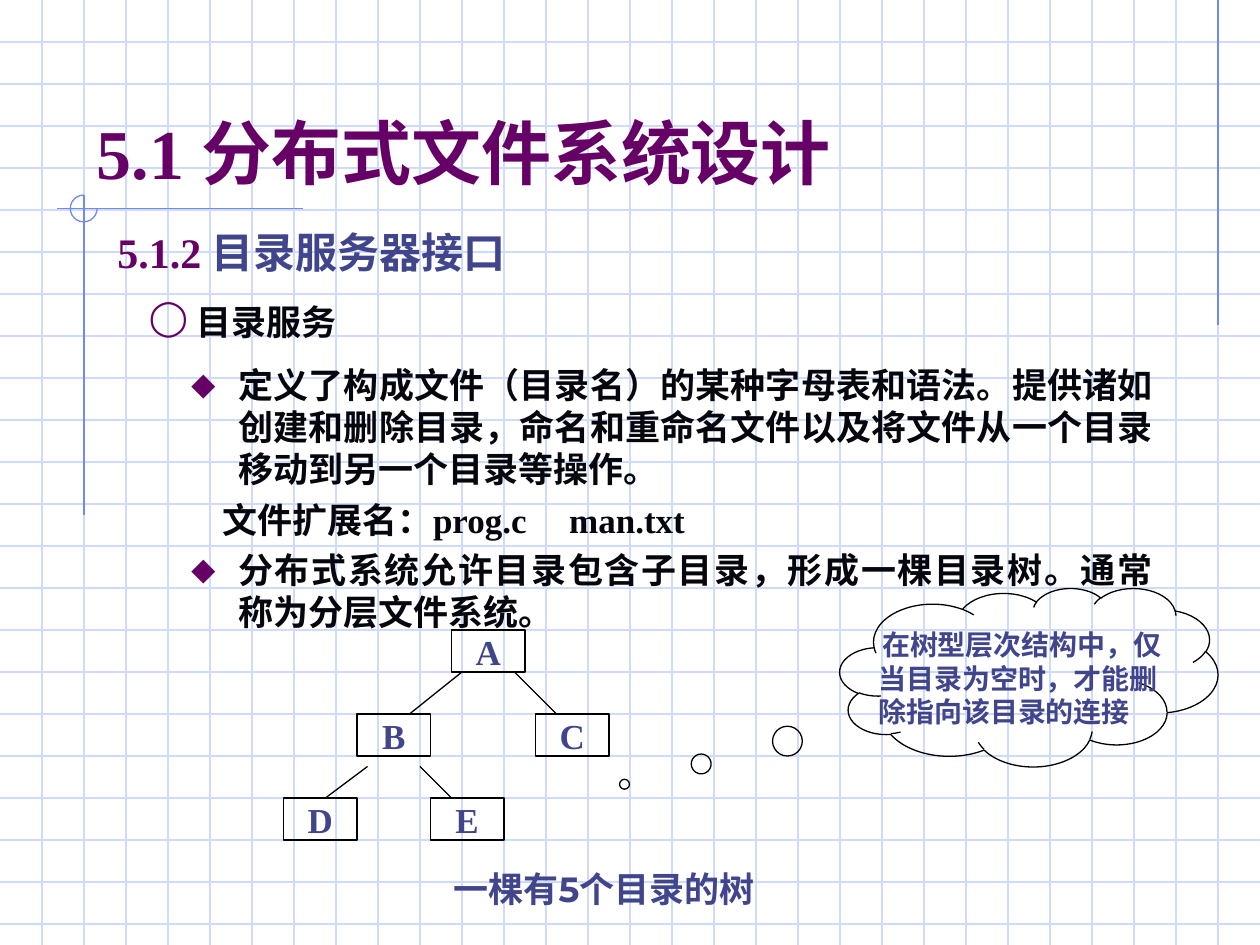
from lxml.etree import SubElement
from pptx import Presentation
from pptx.dml.color import RGBColor
from pptx.enum.shapes import MSO_CONNECTOR, MSO_SHAPE
from pptx.enum.text import MSO_ANCHOR, MSO_AUTO_SIZE, PP_ALIGN
from pptx.oxml.ns import qn
from pptx.util import Pt

COLORS = {
    "grid": "CFDBFD",
    "accent": "6F89F7",
    "purple": "660066",
    "indigo": "40458C",
    "ink": "06070E",
    "black": "000000",
}
SERIF, SANS, CJK = "Times New Roman", "Montserrat", "Noto Sans CJK SC"
WIDTH, HEIGHT, GRID_STEP = 720, 540, 24
NODE_WIDTH, NODE_HEIGHT = 42, 24
NODES = {"A": (258, 360), "B": (204, 408), "C": (306, 408), "D": (162, 456), "E": (246, 456)}
BRANCHES = [
    (264, 384, 234, 408),
    (294, 384, 318, 408),
    (210, 438, 186, 456),
    (240, 438, 258, 456),
]


def color(name):
    return RGBColor.from_string(COLORS[name])


def add_line(slide, x1, y1, x2, y2, line_color):
    connector = slide.shapes.add_connector(
        MSO_CONNECTOR.STRAIGHT, Pt(x1), Pt(y1), Pt(x2), Pt(y2))
    connector.line.color.rgb = color(line_color)
    connector.line.width = Pt(0.75)
    SubElement(connector.element.spPr, qn("a:effectLst"))


def add_outline(slide, preset, x, y, width, height, line_color):
    outline = slide.shapes.add_shape(preset, Pt(x), Pt(y), Pt(width), Pt(height))
    outline.shadow.inherit = False
    outline.fill.background()
    outline.line.color.rgb = color(line_color)
    outline.line.width = Pt(0.75)
    return outline


def add_run(paragraph, text, size, font, font_color):
    run = paragraph.add_run()
    run.text = text
    run.font.size = Pt(size)
    run.font.bold = True
    run.font.name = font
    run.font.color.rgb = color(font_color)
    SubElement(run.font._element, qn("a:ea"), typeface=font)


def format_paragraph(paragraph, before=0, align=PP_ALIGN.LEFT, margin=0, indent=0,
                     bullet=None, tab=None):
    paragraph.alignment = align
    paragraph.space_before = Pt(before)
    properties = paragraph._p.get_or_add_pPr()
    properties.set("marL", str(Pt(margin)))
    properties.set("indent", str(Pt(indent)))
    if bullet:
        bullet_color = SubElement(properties, qn("a:buClr"))
        SubElement(bullet_color, qn("a:srgbClr"), val=COLORS["purple"])
        SubElement(properties, qn("a:buChar"), char=bullet)
    else:
        SubElement(properties, qn("a:buNone"))
    if tab:
        stops = SubElement(properties, qn("a:tabLst"))
        SubElement(stops, qn("a:tab"), pos=str(Pt(tab)), algn="l")


def add_text_box(slide, x, y, width, height):
    box = slide.shapes.add_textbox(Pt(x), Pt(y), Pt(width), Pt(height))
    box.text_frame.word_wrap = True
    return box.text_frame.paragraphs[0]


def place_placeholder(placeholder, x, y, width, height, anchor):
    placeholder.left, placeholder.top = Pt(x), Pt(y)
    placeholder.width, placeholder.height = Pt(width), Pt(height)
    placeholder.text_frame.auto_size = MSO_AUTO_SIZE.NONE
    placeholder.text_frame.vertical_anchor = anchor
    tree = placeholder.element.getparent()
    tree.append(placeholder.element)
    return placeholder.text_frame


def add_background(slide):
    for y in range(GRID_STEP, HEIGHT, GRID_STEP):
        add_line(slide, 0, y, WIDTH, y, "grid")
    for x in range(GRID_STEP, WIDTH, GRID_STEP):
        add_line(slide, x, 0, x, HEIGHT, "grid")
    add_line(slide, 696, 0, 696, 186, "accent")
    add_line(slide, 173, 119.2, 32.5, 119.2, "accent")
    add_line(slide, 48, 111.5, 48, 294.5, "accent")
    ring = add_outline(slide, MSO_SHAPE.ARC, 40.2, 111.5, 15.3, 15.3, "accent")
    ring.adjustments[0] = 0
    ring.adjustments[1] = 162


def add_title(slide):
    title = place_placeholder(
        slide.shapes.title, 48, 24, 612, 90, MSO_ANCHOR.BOTTOM).paragraphs[0]
    format_paragraph(title)
    add_run(title, "5.1 ", 40, SERIF, "purple")
    add_run(title, "分布式文件系统设计", 40, CJK, "purple")


def add_headings(slide):
    section = add_text_box(slide, 60, 126, 630, 40)
    format_paragraph(section, 6, PP_ALIGN.JUSTIFY)
    add_run(section, "5.1.2 ", 24, SERIF, "purple")
    add_run(section, "目录服务器接口", 24, CJK, "indigo")
    topic = add_text_box(slide, 78, 168, 594, 31.5)
    format_paragraph(topic, 5, PP_ALIGN.JUSTIFY, 27, -27, "◯")
    add_run(topic, "目录服务", 20, SANS, "ink")


def add_body(slide):
    body = place_placeholder(
        slide.placeholders[1], 102, 204, 564, 190, MSO_ANCHOR.TOP)
    definition = body.paragraphs[0]
    extensions, hierarchy = body.add_paragraph(), body.add_paragraph()
    for paragraph, text in (
        (definition, "定义了构成文件（目录名）的某种字母表和语法。提供诸如创建和删除目录，"
                     "命名和重命名文件以及将文件从一个目录移动到另一个目录等操作。"),
        (hierarchy, "分布式系统允许目录包含子目录，形成一棵目录树。通常 称为分层文件系统。"),
    ):
        format_paragraph(paragraph, 5, PP_ALIGN.JUSTIFY, 27, -27, "⬥")
        add_run(paragraph, text, 20, SANS, "ink")
    format_paragraph(extensions, 5, indent=18, tab=231.7)
    add_run(extensions, "文件扩展名：", 20, SANS, "ink")
    add_run(extensions, "prog.c\tman.txt", 20, SERIF, "ink")


def add_tree(slide):
    for name, (x, y) in NODES.items():
        node = add_outline(
            slide, MSO_SHAPE.RECTANGLE, x, y, NODE_WIDTH, NODE_HEIGHT, "black")
        node.text_frame.word_wrap = False
        node.text_frame.vertical_anchor = MSO_ANCHOR.MIDDLE
        label = node.text_frame.paragraphs[0]
        format_paragraph(label, 5, PP_ALIGN.CENTER)
        add_run(label, name, 20, SERIF, "indigo")
    for branch in BRANCHES:
        add_line(slide, *branch, "black")
    caption = add_text_box(slide, 252, 492, 258, 31.5)
    format_paragraph(caption, 12.5)
    add_run(caption, "一棵有5个目录的树", 20, SANS, "indigo")


def add_remark(slide):
    cloud = add_outline(slide, MSO_SHAPE.CLOUD_CALLOUT, 480, 336, 216, 102, "black")
    cloud.adjustments[0] = -1.07
    cloud.adjustments[1] = 0.6
    remark = add_text_box(slide, 468, 355, 216, 65)
    format_paragraph(remark, 10, margin=27, indent=2)
    add_run(remark, "在树型层次结构中，仅当目录为空时，才能删除指向该目录的连接",
            16, SANS, "indigo")


def main():
    presentation = Presentation()
    presentation.slide_width, presentation.slide_height = Pt(WIDTH), Pt(HEIGHT)
    slide = presentation.slides.add_slide(presentation.slide_layouts[1])
    add_background(slide)
    add_title(slide)
    add_headings(slide)
    add_body(slide)
    add_tree(slide)
    add_remark(slide)
    presentation.save("out.pptx")


if __name__ == "__main__":
    main()
